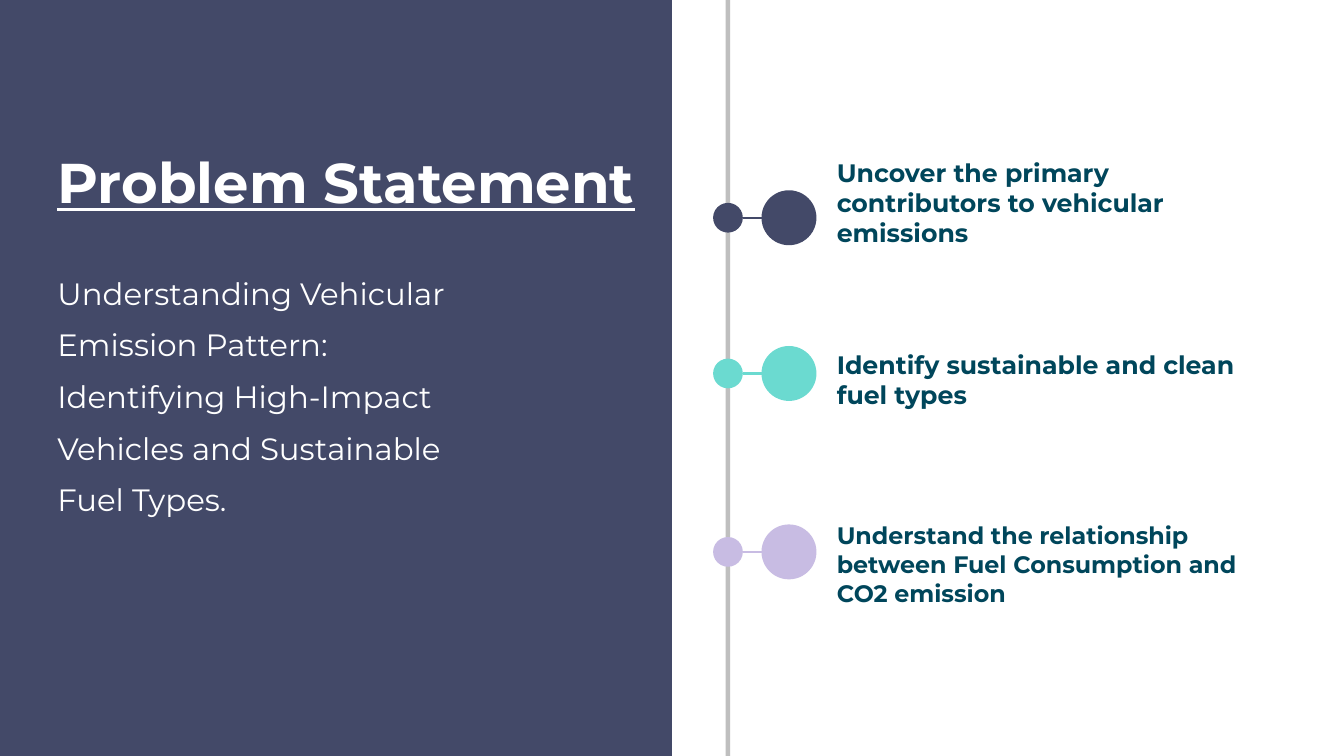
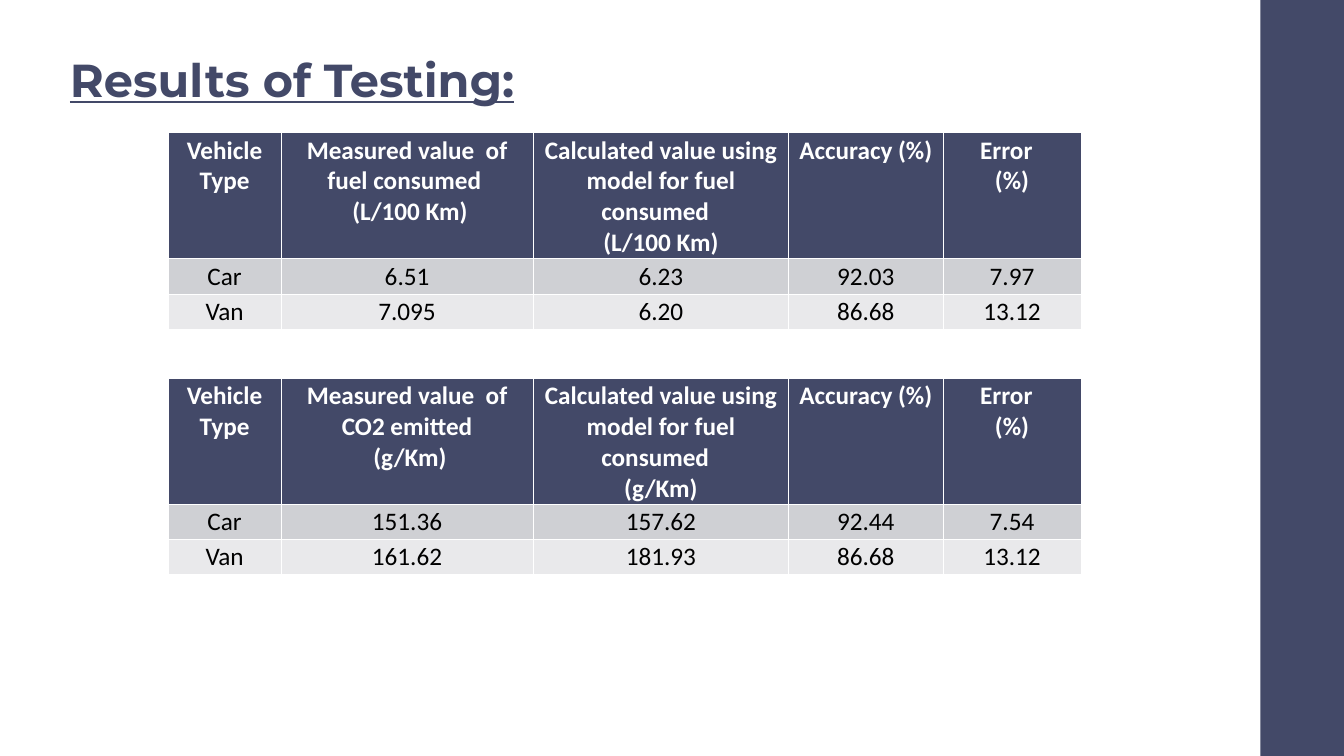
from pptx import Presentation
from pptx.dml.color import RGBColor
from pptx.enum import shapes, text
from pptx.oxml.ns import qn
from pptx.util import Inches, Pt
from lxml import etree

NAVY = RGBColor(0x43, 0x49, 0x68)
TEAL = RGBColor(0x6B, 0xDA, 0xD0)
LILAC = RGBColor(0xC8, 0xBC, 0xE3)
GRAY = RGBColor(0xBF, 0xBF, 0xBF)
INK = RGBColor(0x00, 0x46, 0x5B)
WHITE = RGBColor(0xFF, 0xFF, 0xFF)
BLACK = RGBColor(0, 0, 0)
ROW_FILLS = [NAVY, RGBColor(0xCF, 0xD0, 0xD4), RGBColor(0xE9, 0xE9, 0xEB)]

HEADING_FONT = "Montserrat"
TABLE_FONT = "Calibri"
WIDTH, HEIGHT = 26.66, 15

SUMMARY = ("Understanding Vehicular Emission Pattern: Identifying High-Impact "
           "Vehicles and Sustainable  Fuel Types.")

# centre height, colour, wording, text size, text top, text height
GOALS = [
    (4.32, NAVY, "Uncover the primary contributors to vehicular emissions", 36, 3.66, 1.31),
    (7.41, TEAL, "Identify sustainable and clean fuel types", 36, 6.87, 1.31),
    (10.95, LILAC, "Understand the relationship between Fuel Consumption and CO2 emission",
     34, 10.27, 1.82),
]
TIMELINE_X, GOAL_X = 14.44, 15.65
TIMELINE_WIDTH, SMALL_DOT, LARGE_DOT = 0.09, 0.59, 1.09

COLUMN_WIDTHS = [2.23, 5.01, 5.06, 3.07, 2.73]
ROW_HEIGHTS = [2.5, 0.7, 0.7]
TABLE_LEFT = 3.34
RESULTS = [
    (2.63, "Measured value  of fuel consumed \n (L/100 Km)", "(L/100 Km)",
     [["Car", "6.51", "6.23", "92.03", "7.97"],
      ["Van", "7.095", "6.20", "86.68", "13.12"]]),
    (7.5, "Measured value  of CO2 emitted\n (g/Km)", "(g/Km)",
     [["Car", "151.36", "157.62", "92.44", "7.54"],
      ["Van", "161.62", "181.93", "86.68", "13.12"]]),
]


def add_filled(slide, kind, left, top, width, height, color):
    shape = slide.shapes.add_shape(
        kind, Inches(left), Inches(top), Inches(width), Inches(height))
    shape.shadow.inherit = False
    shape.fill.solid()
    shape.fill.fore_color.rgb = color
    shape.line.fill.background()
    return shape


def add_band(slide, left, width, color=NAVY):
    return add_filled(slide, shapes.MSO_SHAPE.RECTANGLE, left, 0, width, HEIGHT, color)


def add_dot(slide, x, y, size, color):
    return add_filled(slide, shapes.MSO_SHAPE.OVAL,
                      x - size / 2, y - size / 2, size, size, color)


def add_link(slide, start, end, y, color):
    link = slide.shapes.add_connector(
        shapes.MSO_CONNECTOR.STRAIGHT, Inches(start), Inches(y), Inches(end), Inches(y))
    link.line.color.rgb = color
    link.line.width = Pt(3)
    etree.SubElement(link._element.spPr, qn("a:effectLst"))


def style_font(font, name, size, color, bold):
    font.name = name
    font.size = Pt(size)
    font.color.rgb = color
    font.bold = bold


def add_text(slide, wording, left, top, width, height, size, color,
             bold=True, anchor=text.MSO_ANCHOR.TOP):
    box = slide.shapes.add_textbox(
        Inches(left), Inches(top), Inches(width), Inches(height))
    frame = box.text_frame
    frame.word_wrap = True
    frame.auto_size = text.MSO_AUTO_SIZE.SHAPE_TO_FIT_TEXT
    frame.vertical_anchor = anchor
    frame.text = wording
    para = frame.paragraphs[0]
    style_font(para.runs[0].font, HEADING_FONT, size, color, bold)
    return para


def add_title(slide, *args, **options):
    add_text(slide, *args, **options).runs[0].font.underline = True


def add_results(slide, top, measured, unit, rows):
    header = ["Vehicle Type", measured,
              f"Calculated value using model for fuel consumed  \n{unit}",
              "Accuracy (%)", "Error  \n(%)"]
    grid = [header] + rows
    table = slide.shapes.add_table(
        len(grid), len(header), Inches(TABLE_LEFT), Inches(top),
        Inches(sum(COLUMN_WIDTHS)), Inches(sum(ROW_HEIGHTS))).table
    for column, width in zip(table.columns, COLUMN_WIDTHS):
        column.width = Inches(width)
    for r, values in enumerate(grid):
        table.rows[r].height = Inches(ROW_HEIGHTS[r])
        for c, value in enumerate(values):
            cell = table.cell(r, c)
            cell.fill.solid()
            cell.fill.fore_color.rgb = ROW_FILLS[r]
            cell.text_frame.text = value
            for para in cell.text_frame.paragraphs:
                para.alignment = text.PP_ALIGN.CENTER
                for span in para.runs:
                    style_font(span.font, TABLE_FONT, 36,
                               BLACK if r else WHITE, r == 0)


def build_problem(slide):
    bottom = text.MSO_ANCHOR.BOTTOM
    add_band(slide, 0, WIDTH / 2)
    add_band(slide, TIMELINE_X - TIMELINE_WIDTH / 2, TIMELINE_WIDTH, GRAY)
    for y, color, wording, size, top, height in GOALS:
        add_dot(slide, TIMELINE_X, y, SMALL_DOT, color)
        add_link(slide, TIMELINE_X + SMALL_DOT / 2, 15.26, y, color)
        add_dot(slide, GOAL_X, y, LARGE_DOT, color)
        add_text(slide, wording, 16.5, top, 8.5, height, size, INK, anchor=bottom)
    add_title(slide, "Problem Statement", 1.04, 2.86, 12.29, 1.45, 80, WHITE,
              anchor=bottom)
    summary = add_text(slide, SUMMARY, 1.04, 5.1, 9, 5.18, 44, WHITE, bold=False)
    summary.line_spacing = 1.4


def build_results(slide):
    add_band(slide, 25, WIDTH - 25)
    add_title(slide, "Results of Testing:", 1.29, 0.97, 11.1, 1.21, 66, NAVY)
    for result in RESULTS:
        add_results(slide, *result)


def main():
    deck = Presentation()
    deck.slide_width = Inches(WIDTH)
    deck.slide_height = Inches(HEIGHT)
    for build in (build_problem, build_results):
        build(deck.slides.add_slide(deck.slide_layouts[6]))
    deck.save("out.pptx")


if __name__ == "__main__":
    main()
